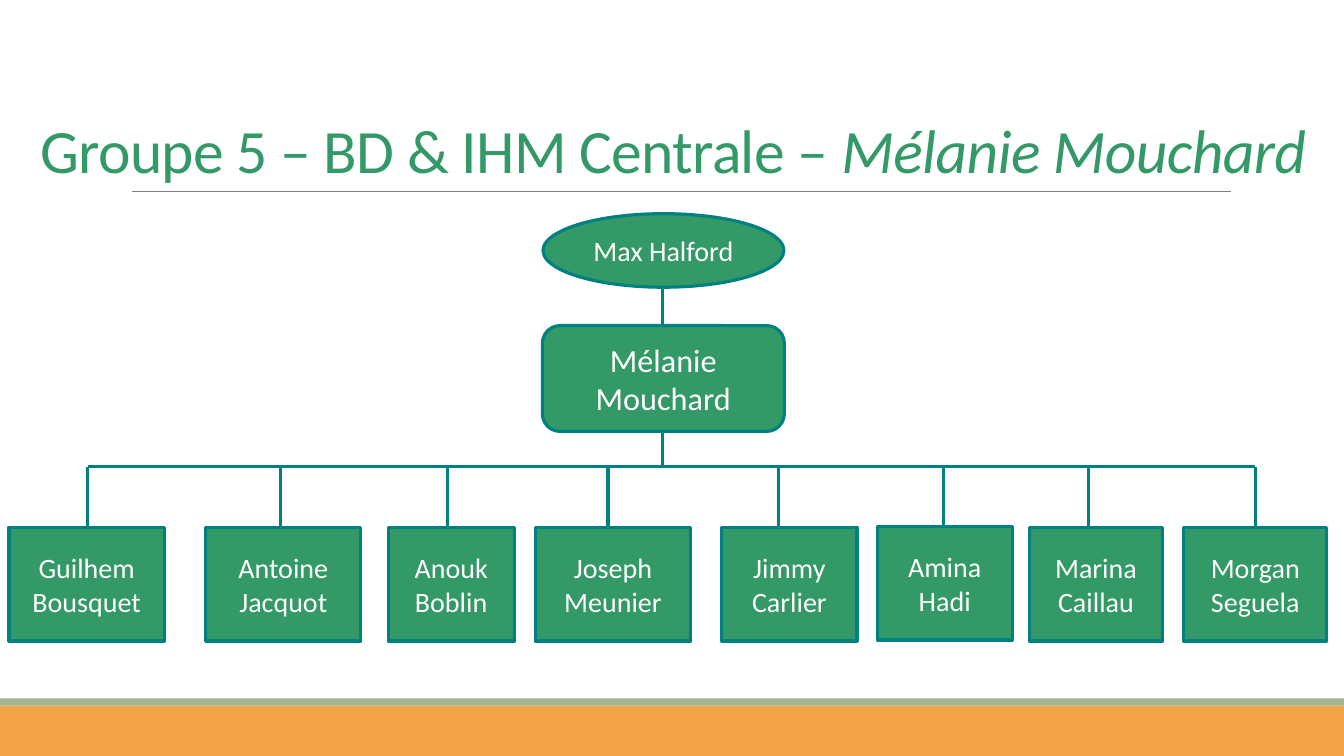
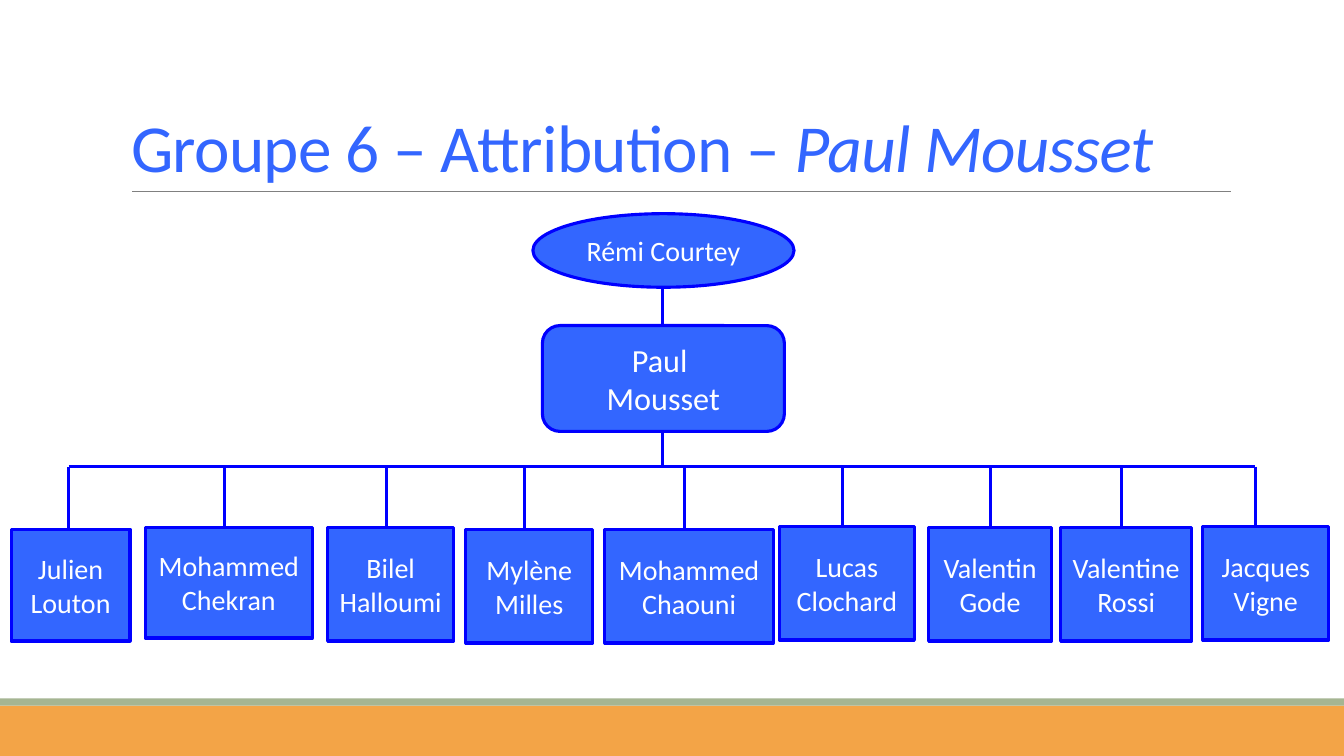
from collections import namedtuple

from lxml import etree
from pptx import Presentation
from pptx.dml.color import RGBColor
from pptx.enum.shapes import MSO_CONNECTOR, MSO_SHAPE
from pptx.enum.text import MSO_ANCHOR, MSO_AUTO_SIZE, PP_ALIGN
from pptx.oxml.ns import qn
from pptx.util import Inches, Pt

FONT = "Calibri"
COLOURS = {
    "orange": "F3A447", "sage": "A5B592", "rule": "808080", "white": "FFFFFF",
    "green": "339966", "teal": "008080", "blue": "3366FF", "deep blue": "0000FF",
}

Box = namedtuple("Box", "left top width height")
# Left, top and drop are measured from the top left corner of the chart
Member = namedtuple("Member", "name left width drop top height", defaults=(3.11, 1.13))
Group = namedtuple("Group", "title leader title_size title_box fill line head head_width lead members")

CHART = Box(0, 2.12, 13.33, 4.26)
TRUNK = 6.57
BUS = 2.51
HEAD_HEIGHT = 0.73
LEAD = Box(5.38, 1.11, 2.4, 1.05)

GROUPS = [
    Group(
        "Groupe 5 – BD & IHM Centrale – ", "Mélanie Mouchard", 44, Box(0.3, 0.9, 13.03, 1),
        "green", "teal", "Max Halford", 2.39, ["Mélanie Mouchard"],
        [
            Member("Guilhem Bousquet", 0.09, 1.54, 0.87),
            Member("Antoine Jacquot", 2.04, 1.54, 2.78),
            Member("Anouk Boblin", 3.85, 1.25, 4.44),
            Member("Joseph Meunier", 5.31, 1.54, 6.03),
            Member("Jimmy Carlier", 7.16, 1.34, 7.72),
            Member("Amina Hadi", 8.7, 1.34, 9.36, 3.1),
            Member("Marina Caillau", 10.21, 1.32, 10.8),
            Member("Morgan Seguela", 11.74, 1.42, 12.45),
        ],
    ),
    Group(
        "Groupe 6 – Attribution – ", "Paul Mousset", 48, Box(1.2, 0.31, 11, 1.59),
        "blue", "deep blue", "Rémi Courtey", 2.59, ["Paul ", "Mousset"],
        [
            Member("Julien Louton", 0.11, 1.18, 0.68, 3.13, 1.11),
            Member("Mohammed Chekran", 1.44, 1.66, 2.23, 3.11, 1.1),
            Member("Bilel Halloumi", 3.25, 1.25, 3.83),
            Member("Mylène Milles", 4.62, 1.26, 5.2, 3.13),
            Member("Mohammed Chaouni", 6, 1.67, 6.79, 3.13),
            Member("Lucas Clochard", 7.73, 1.34, 8.36, 3.1),
            Member("Valentin Gode", 9.21, 1.22, 9.82),
            Member("Valentine Rossi", 10.52, 1.3, 11.12),
            Member("Jacques Vigne", 11.93, 1.25, 12.45, 3.1),
        ],
    ),
]


def colour(name):
    return RGBColor.from_string(COLOURS[name])


def add_box(page, kind, box, fill, line=None):
    shape = page.shapes.add_shape(kind, *map(Inches, box))
    shape.shadow.inherit = False
    shape.fill.solid()
    shape.fill.fore_color.rgb = colour(fill)
    if line:
        shape.line.color.rgb = colour(line)
        shape.line.width = Pt(2.25)
    else:
        shape.line.fill.background()
    return shape


def add_line(page, start, end, line, width=2.25):
    connector = page.shapes.add_connector(
        MSO_CONNECTOR.STRAIGHT, *map(Inches, (*start, *end)))
    connector.line.color.rgb = colour(line)
    connector.line.width = Pt(width)
    properties = connector.element.find(qn("p:spPr"))
    etree.SubElement(properties, qn("a:effectLst"))
    return connector


def add_span(para, text, size, ink, italic=None):
    span = para.add_run()
    span.text = text
    span.font.name = FONT
    span.font.size = Pt(size)
    span.font.color.rgb = colour(ink)
    span.font.italic = italic


def add_person(page, kind, box, lines, size, group):
    shape = add_box(page, kind, box, group.fill, group.line)
    frame = shape.text_frame
    frame.word_wrap = True
    frame.vertical_anchor = MSO_ANCHOR.MIDDLE
    for index, text in enumerate(lines):
        para = frame.add_paragraph() if index else frame.paragraphs[0]
        para.alignment = PP_ALIGN.CENTER
        add_span(para, text, size, "white")


def decorate_layout(layout, page):
    """Draw the shared bands and rule, then move them to the layout."""
    parts = [
        add_box(page, MSO_SHAPE.RECTANGLE, Box(0, 7, 13.33, 0.5), "orange"),
        add_box(page, MSO_SHAPE.RECTANGLE, Box(0, 6.93, 13.33, 0.07), "sage"),
        add_line(page, (1.31, 1.9), (12.21, 1.9), "rule", 0.5),
    ]
    for part in parts:
        layout.shapes.element.append(part.element)


def format_title(page, box, group):
    title = page.shapes.title
    title.left, title.top, title.width, title.height = map(Inches, box)
    frame = title.text_frame
    frame.word_wrap = True
    frame.auto_size = MSO_AUTO_SIZE.NONE
    frame.vertical_anchor = MSO_ANCHOR.BOTTOM
    para = frame.paragraphs[0]
    para.alignment = PP_ALIGN.LEFT
    para.line_spacing = 0.85
    add_span(para, group.title, group.title_size, group.fill)
    add_span(para, group.leader, group.title_size, group.fill, italic=True)
    # Slightly tightened letters
    for properties in title.element.iter(qn("a:rPr")):
        properties.set("spc", "-50")


def add_org_chart(page, box, group):
    def inside(left, top, width, height):
        return Box(box.left + left, box.top + top, width, height)

    def link(start, end):
        points = [(box.left + x, box.top + y) for x, y in (start, end)]
        add_line(page, *points, group.line)

    # Trunk, bus and drops
    link((TRUNK, HEAD_HEIGHT), (TRUNK, LEAD.top))
    link((TRUNK, LEAD.top + LEAD.height), (TRUNK, BUS))
    link((group.members[0].drop, BUS), (group.members[-1].drop, BUS))
    for member in group.members:
        link((member.drop, BUS), (member.drop, member.top))

    # Head and group leader
    head = inside(LEAD.left + (LEAD.width - group.head_width) / 2, 0,
                  group.head_width, HEAD_HEIGHT)
    add_person(page, MSO_SHAPE.OVAL, head, [group.head], 20, group)
    add_person(page, MSO_SHAPE.ROUNDED_RECTANGLE, inside(*LEAD), group.lead, 23, group)

    # Members
    for member in group.members:
        place = inside(member.left, member.top, member.width, member.height)
        add_person(page, MSO_SHAPE.RECTANGLE, place, [member.name], 20, group)


def main():
    deck = Presentation()
    deck.slide_width, deck.slide_height = Inches(13.33), Inches(7.5)
    layout = deck.slide_layouts[5]
    pages = [deck.slides.add_slide(layout) for _ in GROUPS]
    decorate_layout(layout, pages[0])
    for page, group in zip(pages, GROUPS):
        format_title(page, group.title_box, group)
        add_org_chart(page, CHART, group)
    deck.save("out.pptx")


if __name__ == "__main__":
    main()
